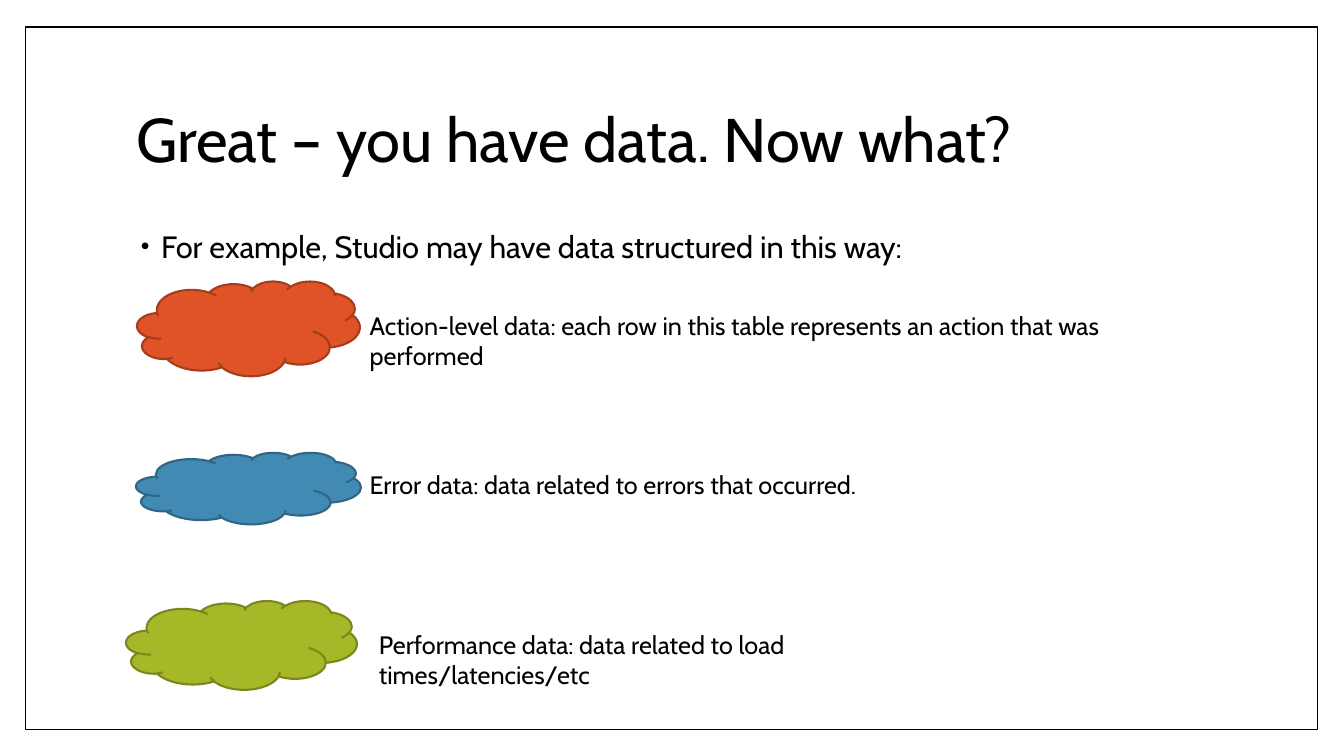
from dataclasses import dataclass
from lxml.etree import SubElement
from pptx import Presentation
from pptx.dml.color import RGBColor
from pptx.enum.shapes import MSO_SHAPE
from pptx.enum.text import MSO_ANCHOR, PP_ALIGN
from pptx.oxml.ns import qn
from pptx.util import Pt


@dataclass(frozen=True)
class Theme:
    font: str = "Cabin"
    ink: str = "000000"
    title_size: int = 44
    lead_size: int = 22
    label_size: int = 18
    frame_width: float = 1
    cloud_width: float = 1.5
    line_spacing: float = 0.9


THEME = Theme()
SLIDE_SIZE = (960, 540)
FRAME_BOX = (18, 19.4, 923, 501.8)
TITLE = ("Great – you have data. Now what?", (90, 48.2, 777.6, 106.6))
LEAD = ("For example, Studio may have data structured in this way:", (90, 162, 777.6, 38.9))
DATA_KINDS = [
    {"text": "Action-level data: each row in this table represents an action that was performed",
     "label": (257, 218.2, 617, 29), "cloud": (97.9, 200.9, 159.1, 67.7),
     "fill": "DF5327", "line": "A53D1D"},
    {"text": "Error data: data related to errors that occurred.",
     "label": (257, 331.9, 370, 29), "cloud": (97.2, 323.3, 160.6, 51.1),
     "fill": "418AB3", "line": "306684"},
    {"text": "Performance data: data related to load times/latencies/etc",
     "label": (263.5, 445.7, 450, 29), "cloud": (90, 429.1, 164.9, 63.4),
     "fill": "A6B727", "line": "7B871D"},
]


def points(box):
    return [Pt(length) for length in box]


def write(holder, text, size, anchor=MSO_ANCHOR.TOP):
    frame = holder.text_frame
    frame.word_wrap = True
    frame.vertical_anchor = anchor
    frame.text = text
    paragraph = frame.paragraphs[0]
    paragraph.alignment = PP_ALIGN.LEFT
    font = paragraph.runs[0].font
    font.name = THEME.font
    font.size = Pt(size)
    font.color.rgb = RGBColor.from_string(THEME.ink)
    return paragraph


def add_outlined(slide, preset, box, line, width, fill=None):
    outlined = slide.shapes.add_shape(preset, *points(box))
    outlined.shadow.inherit = False
    if fill:
        outlined.fill.solid()
        outlined.fill.fore_color.rgb = RGBColor.from_string(fill)
    else:
        outlined.fill.background()
    outlined.line.color.rgb = RGBColor.from_string(line)
    outlined.line.width = Pt(width)


def add_bullet(paragraph, indent, hanging):
    properties = paragraph._p.get_or_add_pPr()
    properties.set("marL", str(Pt(indent)))
    properties.set("indent", str(-Pt(hanging)))
    color = SubElement(properties, qn("a:buClr"))
    SubElement(color, qn("a:srgbClr"), val=THEME.ink)
    SubElement(properties, qn("a:buSzPct"), val="80000")
    SubElement(properties, qn("a:buFont"), typeface="Arial")
    SubElement(properties, qn("a:buChar"), char="•")


def main():
    deck = Presentation()
    deck.slide_width, deck.slide_height = points(SLIDE_SIZE)
    slide = deck.slides.add_slide(deck.slide_layouts[5])

    add_outlined(slide, MSO_SHAPE.RECTANGLE, FRAME_BOX, THEME.ink, THEME.frame_width)

    title_text, title_box = TITLE
    title = slide.shapes.title
    title.left, title.top, title.width, title.height = points(title_box)
    heading = write(title, title_text, THEME.title_size, MSO_ANCHOR.MIDDLE)
    heading.line_spacing = THEME.line_spacing

    lead_text, lead_box = LEAD
    lead = write(slide.shapes.add_textbox(*points(lead_box)), lead_text, THEME.lead_size)
    lead.line_spacing = THEME.line_spacing
    lead.space_before = Pt(14)
    add_bullet(lead, 18, 14.4)

    for kind in DATA_KINDS:
        add_outlined(slide, MSO_SHAPE.CLOUD, kind["cloud"], kind["line"],
                     THEME.cloud_width, kind["fill"])
        label = slide.shapes.add_textbox(*points(kind["label"]))
        write(label, kind["text"], THEME.label_size)

    deck.save("out.pptx")


if __name__ == "__main__":
    main()
